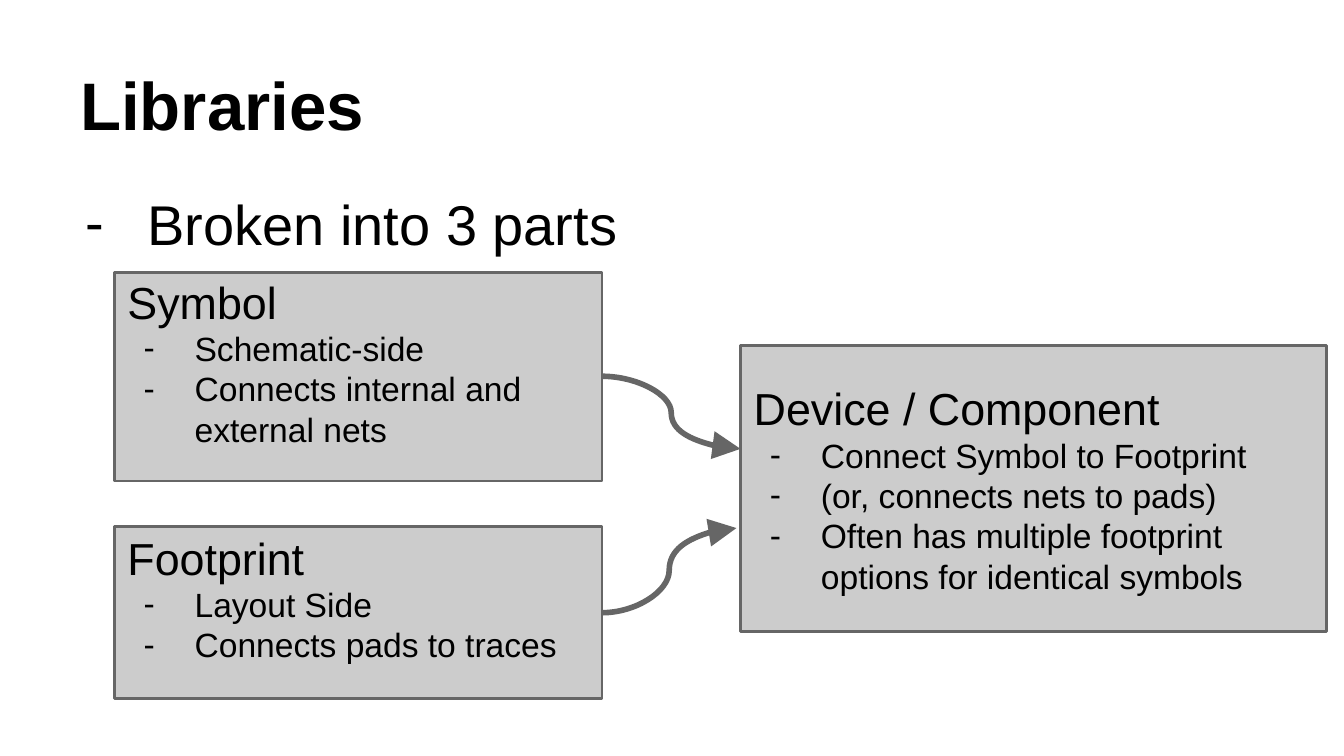
from lxml.etree import SubElement
from pptx import Presentation
from pptx.dml.color import RGBColor
from pptx.enum.shapes import MSO_CONNECTOR, MSO_SHAPE
from pptx.enum.text import MSO_ANCHOR, PP_ALIGN
from pptx.oxml.ns import qn
from pptx.util import Inches, Pt

COLORS = {"text": "000000", "box": "CCCCCC", "edge": "666666"}
FONT = "Arial"
MARGIN = 0.1
BOX_LEFT, BOX_WIDTH = 0.85, 3.63
BOX_RIGHT = BOX_LEFT + BOX_WIDTH


def color(name):
    return RGBColor.from_string(COLORS[name])


def add_bullet(paragraph, hanging):
    """Give a paragraph a dash with a hanging indent."""
    properties = paragraph._p.get_or_add_pPr()
    properties.set("marL", str(Inches(0.5)))
    properties.set("indent", str(-Inches(hanging)))
    bullet_color = SubElement(properties, qn("a:buClr"))
    SubElement(bullet_color, qn("a:srgbClr"), val=COLORS["text"])
    SubElement(properties, qn("a:buFont"), typeface=FONT)
    SubElement(properties, qn("a:buChar"), char="-")


def write(frame, text, size, bold=False, hanging=None, first=False):
    """Write one paragraph; a hanging indent makes it a bullet."""
    paragraph = frame.paragraphs[0] if first else frame.add_paragraph()
    paragraph.alignment = PP_ALIGN.LEFT
    if hanging:
        add_bullet(paragraph, hanging)
    run = paragraph.add_run()
    run.text = text
    run.font.name = FONT
    run.font.size = Pt(size)
    run.font.bold = bold
    run.font.color.rgb = color("text")


def set_frame(frame, anchor, bottom=MARGIN):
    frame.word_wrap = True
    frame.vertical_anchor = anchor
    frame.margin_left = frame.margin_right = frame.margin_top = Inches(MARGIN)
    frame.margin_bottom = Inches(bottom)


def add_text(slide, place, text, size, anchor=MSO_ANCHOR.TOP, **style):
    box = slide.shapes.add_textbox(*map(Inches, place))
    set_frame(box.text_frame, anchor)
    write(box.text_frame, text, size, first=True, **style)


def add_part(slide, place, heading, points, bottom=MARGIN):
    """Draw one library part: a grey box with a heading and its points."""
    box = slide.shapes.add_shape(MSO_SHAPE.RECTANGLE, *map(Inches, place))
    box.shadow.inherit = False
    box.fill.solid()
    box.fill.fore_color.rgb = color("box")
    box.line.color.rgb = color("edge")
    box.line.width = Pt(1.5)
    set_frame(box.text_frame, MSO_ANCHOR.MIDDLE, bottom)
    write(box.text_frame, heading, 24, first=True)
    for point in points:
        write(box.text_frame, point, 18, hanging=0.38)


def add_arrow(slide, start, end):
    arrow = slide.shapes.add_connector(
        MSO_CONNECTOR.CURVE, *map(Inches, start + end))
    arrow.line.color.rgb = color("edge")
    arrow.line.width = Pt(3)
    SubElement(arrow.line._get_or_add_ln(), qn("a:tailEnd"),
               type="triangle", w="lg", len="lg")
    SubElement(arrow._element.spPr, qn("a:effectLst"))


def main():
    deck = Presentation()
    deck.slide_width = Inches(10)
    deck.slide_height = deck.slide_width * 9 // 16
    slide = deck.slides.add_slide(deck.slide_layouts[6])

    # Title and lead line
    add_text(slide, (0.5, 1.31, 9, 4.07), "Broken into 3 parts", 30,
             hanging=0.46)
    add_text(slide, (0.5, 0.23, 9, 0.94), "Libraries", 36,
             anchor=MSO_ANCHOR.BOTTOM, bold=True)

    # The three parts; the left ones keep extra room below their text
    add_part(slide, (BOX_LEFT, 2.03, BOX_WIDTH, 1.55), "Symbol",
             ["Schematic-side", "Connects internal and external nets"],
             bottom=0.33)
    add_part(slide, (BOX_LEFT, 3.92, BOX_WIDTH, 1.28), "Footprint",
             ["Layout Side", "Connects pads to traces"], bottom=0.33)
    add_part(slide, (5.51, 2.57, 4.36, 2.13), "Device / Component",
             ["Connect Symbol to Footprint", "(or, connects nets to pads)",
              "Often has multiple footprint options for identical symbols"])

    # Arrows from symbol and footprint to the device
    add_arrow(slide, (BOX_RIGHT, 2.8), (5.51, 3.34))
    add_arrow(slide, (BOX_RIGHT, 4.56), (5.48, 3.93))

    deck.save("out.pptx")


if __name__ == "__main__":
    main()
